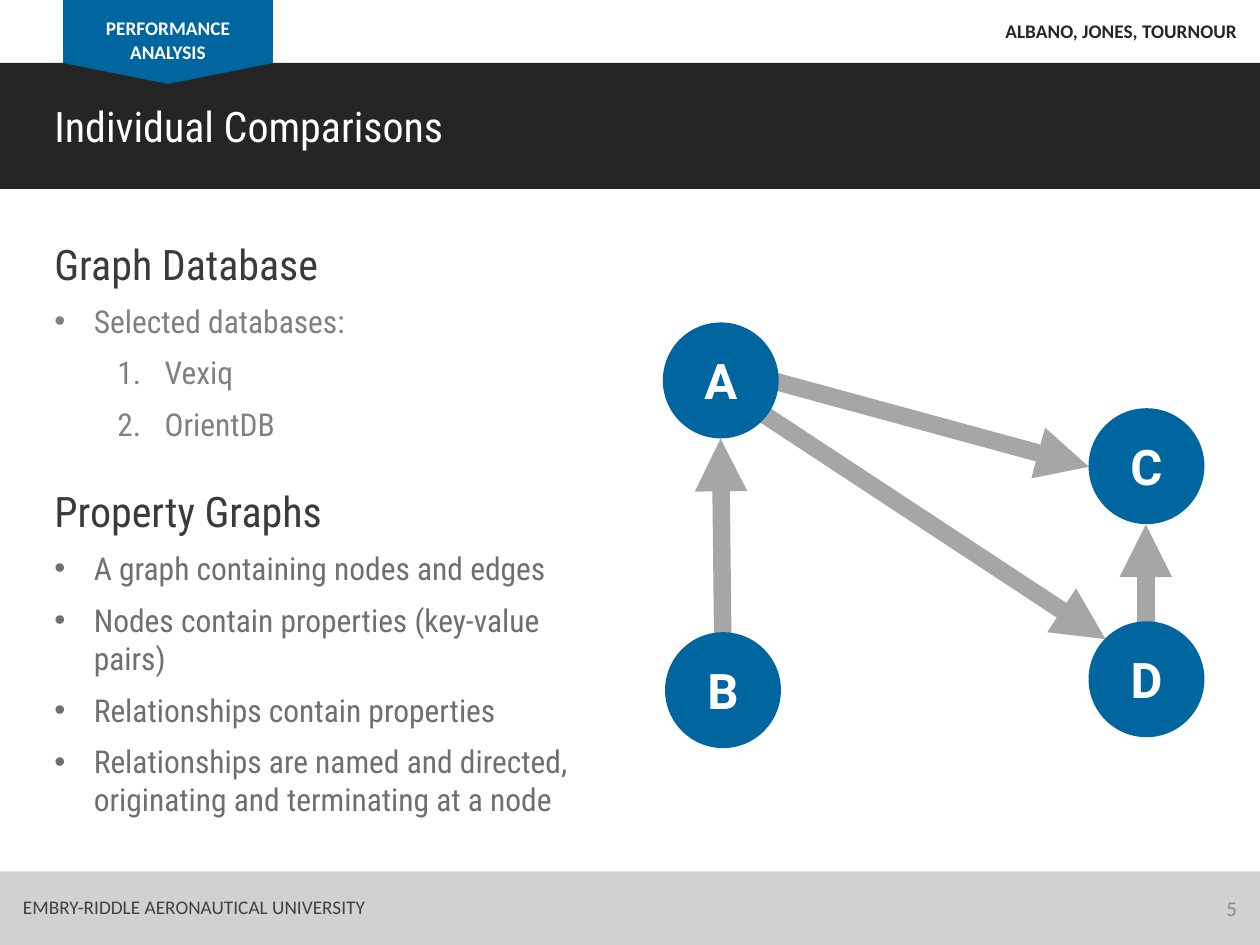
from lxml import etree
from pptx import Presentation
from pptx.dml.color import RGBColor
from pptx.enum.shapes import MSO_CONNECTOR, MSO_SHAPE
from pptx.enum.text import MSO_ANCHOR, PP_ALIGN
from pptx.oxml.ns import qn
from pptx.util import Pt

RECTANGLE = MSO_SHAPE.RECTANGLE
TRIANGLE = MSO_SHAPE.ISOSCELES_TRIANGLE
OVAL = MSO_SHAPE.OVAL
STRAIGHT = MSO_CONNECTOR.STRAIGHT
LEFT, CENTER, RIGHT = PP_ALIGN.LEFT, PP_ALIGN.CENTER, PP_ALIGN.RIGHT
TOP, MIDDLE = MSO_ANCHOR.TOP, MSO_ANCHOR.MIDDLE

BLUE, DARK, WHITE = "0066A0", "252525", "FFFFFF"
LABEL_FONT, BODY_FONT, NODE_FONT = "Calibri", "Roboto Condensed", "Roboto"
NODE_SIZE = 66.24
# Left indent and hanging indent in points, by list level
INDENTS = ((22.5, -22.5), (63, -27))


def color(hex_string):
    return RGBColor.from_string(hex_string)


def add_block(slide, preset, box, fill):
    shape = slide.shapes.add_shape(preset, *map(Pt, box))
    shape.shadow.inherit = False
    shape.fill.solid()
    shape.fill.fore_color.rgb = color(fill)
    shape.line.fill.background()
    return shape


def write(paragraph, text, size, font, hex_string, bold=False, align=LEFT):
    paragraph.alignment = align
    run = paragraph.add_run()
    run.text = text
    run.font.size = Pt(size)
    run.font.name = font
    run.font.bold = bold
    run.font.color.rgb = color(hex_string)


def add_frame(slide, box, anchor=TOP, wrap=True):
    frame = slide.shapes.add_textbox(*map(Pt, box)).text_frame
    frame.word_wrap = wrap
    frame.vertical_anchor = anchor
    return frame


def add_label(slide, box, *style, anchor=TOP, wrap=True, **options):
    write(add_frame(slide, box, anchor, wrap).paragraphs[0], *style, **options)


def add_list(slide, box, items, hex_string):
    """Items are (level, text); level 0 is bulleted and level 1 numbered."""
    frame = add_frame(slide, box)
    for index, (level, text) in enumerate(items):
        paragraph = frame.add_paragraph() if index else frame.paragraphs[0]
        paragraph.level = level
        paragraph.space_after = Pt(8)
        margin, hanging = INDENTS[level]
        properties = paragraph._p.get_or_add_pPr()
        properties.set("marL", str(Pt(margin)))
        properties.set("indent", str(Pt(hanging)))
        if level:
            etree.SubElement(properties, qn("a:buFont"), typeface="+mj-lt")
            etree.SubElement(properties, qn("a:buAutoNum"), type="arabicPeriod")
        else:
            etree.SubElement(properties, qn("a:buFont"), typeface="Arial")
            etree.SubElement(properties, qn("a:buChar"), char="•")
        write(paragraph, text, 18, BODY_FONT, hex_string)


def add_arrow(slide, start, end):
    connector = slide.shapes.add_connector(STRAIGHT, *map(Pt, start + end))
    connector.line.color.rgb = color("A6A6A6")
    connector.line.width = Pt(10)
    etree.SubElement(connector.line._get_or_add_ln(), qn("a:tailEnd"), type="triangle")
    etree.SubElement(connector._element.spPr, qn("a:effectLst"))


def add_node(slide, letter, left, top):
    node = add_block(slide, OVAL, (left, top, NODE_SIZE, NODE_SIZE), BLUE)
    node.text_frame.vertical_anchor = MIDDLE
    write(node.text_frame.paragraphs[0], letter, 28, NODE_FONT, WHITE, True, CENTER)


def add_header(slide, left, top, width):
    # Title band
    add_block(slide, RECTANGLE, (left, top + 36, width, 72), DARK)
    add_label(slide, (left + 24, top + 54, 336, 36),
              "Individual Comparisons", 24, BODY_FONT, WHITE)
    # Section ribbon with its point
    ribbon_left, ribbon_width = left + 36, 120
    add_block(slide, RECTANGLE, (ribbon_left, top, ribbon_width, 36), BLUE)
    point = add_block(slide, TRIANGLE, (ribbon_left, top + 36, ribbon_width, 12), BLUE)
    point._element.spPr.xfrm.set("flipV", "1")
    add_label(slide, (ribbon_left, top + 6, ribbon_width, 34),
              "PERFORMANCE ANALYSIS", 11, LABEL_FONT, WHITE, bold=True, align=CENTER)
    # Authors
    add_label(slide, (left + width - 223, top + 7.75, 217, 21),
              "ALBANO, JONES, TOURNOUR", 11, LABEL_FONT, DARK, bold=True, align=RIGHT)


def add_section(slide, left, top, width, height, heading, items, hex_string):
    add_label(slide, (left, top, 228, 36), heading, 24, BODY_FONT, "3A3A3A")
    add_list(slide, (left, top + 36.25, width, height - 36.25), items, hex_string)


def add_graph(slide, left, top):
    # Directed edges, from start to end
    edges = (
        ((47, 29), (243.5, 82.5)),
        ((42.5, 42.5), (253, 181)),
        ((34.5, 202), (33, 66.5)),
        ((276, 171), (276, 115.5)),
    )
    for edge in edges:
        add_arrow(slide, *((left + x, top + y) for x, y in edge))
    # Nodes
    nodes = (("A", 0, 0), ("B", 1.25, 177), ("C", 243.25, 49), ("D", 243.25, 170.75))
    for letter, x, y in nodes:
        add_node(slide, letter, left + x, top + y)


def add_footer(slide, left, top, width, height):
    add_block(slide, RECTANGLE, (left, top, width, height), "D1D1D1")
    add_label(slide, (left + 6, top + 10.25, 218, 21),
              "EMBRY-RIDDLE AERONAUTICAL UNIVERSITY", 11, LABEL_FONT, "404040", wrap=False)
    add_label(slide, (left + width - 168, top + 6.5, 162, 29),
              "5", 12, LABEL_FONT, "8C8C8C", align=RIGHT, anchor=MIDDLE)


def main():
    presentation = Presentation()
    presentation.slide_width, presentation.slide_height = Pt(720), Pt(540)
    slide = presentation.slides.add_slide(presentation.slide_layouts[6])
    add_header(slide, 0, 0, 720)
    add_section(slide, 24, 132.5, 628.5, 125, "Graph Database", (
        (0, "Selected databases:"),
        (1, "Vexiq"),
        (1, "OrientDB"),
    ), "808080")
    add_section(slide, 24, 274, 336, 177, "Property Graphs", (
        (0, "A graph containing nodes and edges"),
        (0, "Nodes contain properties (key-value pairs)"),
        (0, "Relationships contain properties"),
        (0, "Relationships are named and directed, originating and terminating at a node"),
    ), "6F6F6F")
    add_graph(slide, 378.75, 184.25)
    add_footer(slide, 0, 498, 720, 42)
    presentation.save("out.pptx")


if __name__ == "__main__":
    main()
